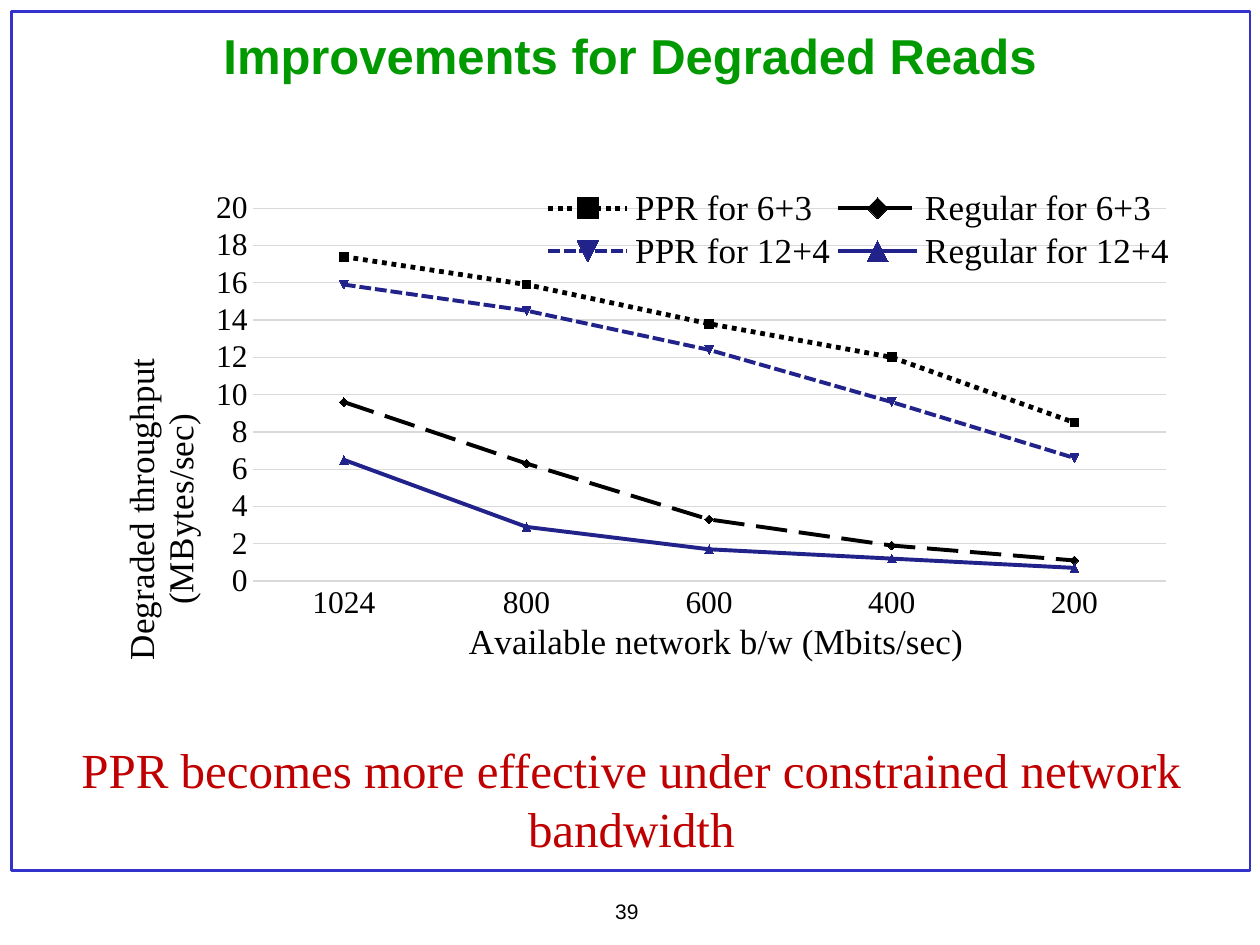
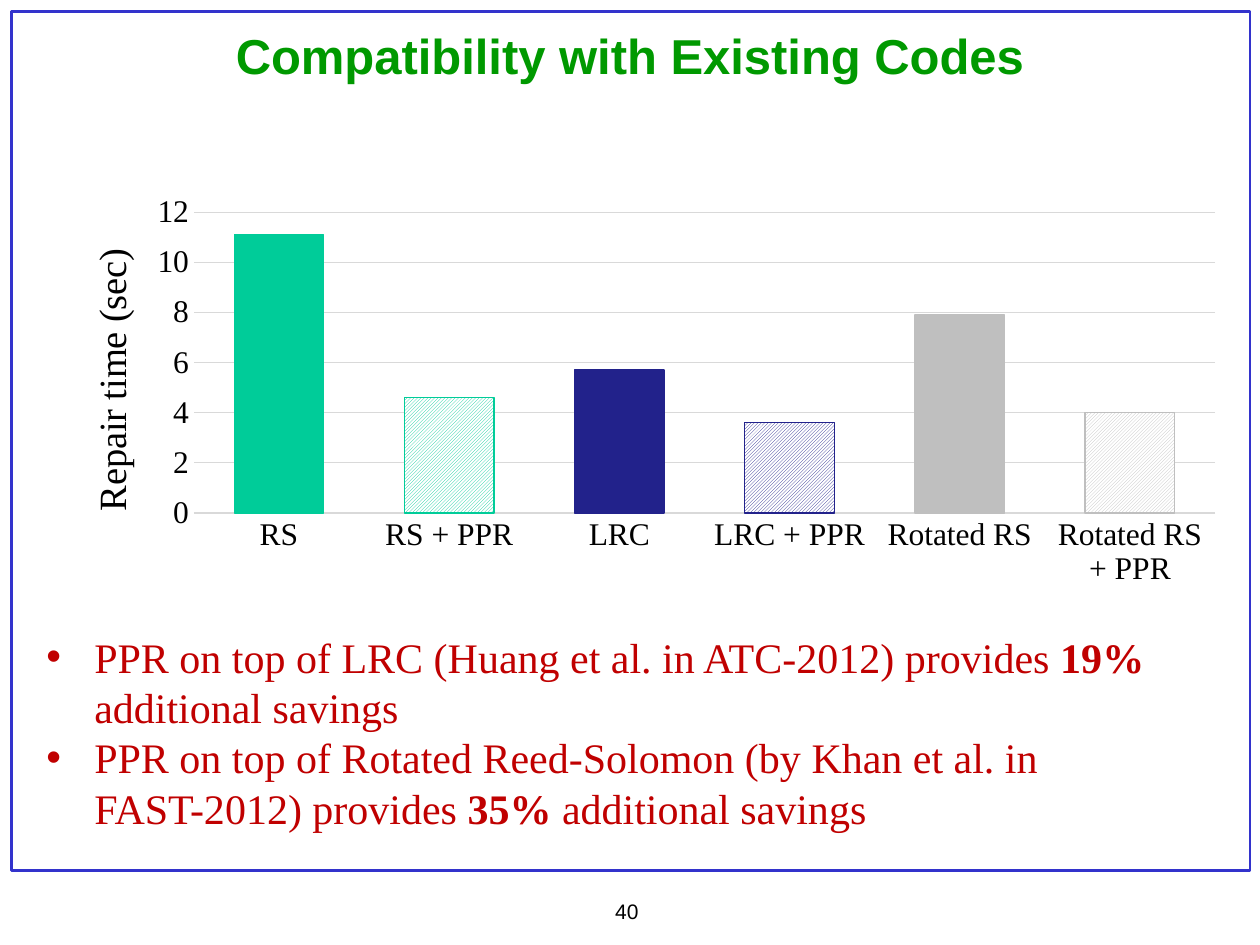
"""Build two slides on repair throughput and code compatibility."""
from lxml import etree
from pptx import Presentation
from pptx.chart.data import CategoryChartData
from pptx.dml.color import RGBColor
from pptx.enum.chart import XL_CHART_TYPE, XL_LEGEND_POSITION, XL_TICK_MARK
from pptx.enum.dml import MSO_LINE, MSO_PATTERN
from pptx.enum.shapes import MSO_SHAPE
from pptx.enum.text import PP_ALIGN
from pptx.oxml.ns import qn
from pptx.util import Inches, Pt

LINE, BARS = XL_CHART_TYPE.LINE, XL_CHART_TYPE.COLUMN_CLUSTERED
BOTTOM, NO_TICK = XL_LEGEND_POSITION.BOTTOM, XL_TICK_MARK.NONE
DOT, LONG, DASH = MSO_LINE.ROUND_DOT, MSO_LINE.LONG_DASH, MSO_LINE.SQUARE_DOT
DOT, DASH = MSO_LINE.ROUND_DOT, MSO_LINE.SQUARE_DOT
HATCH = MSO_PATTERN.DARK_UPWARD_DIAGONAL
CENTER, LEFT = PP_ALIGN.CENTER, PP_ALIGN.LEFT
SANS, SERIF = "Arial", "Times New Roman"
BLACK, WHITE, GRID = "000000", "FFFFFF", "D9D9D9"
GREEN, RED, FRAME = "009900", "C00000", "3333CC"
TEAL, NAVY, GRAY = "00CC99", "22228B", "BFBFBF"

SPEEDS = ["1024", "800", "600", "400", "200"]
READS = [
    ("PPR for 6+3", [17.4, 15.9, 13.8, 12, 8.5], BLACK, 2.75, DOT),
    ("Regular for 6+3", [9.6, 6.3, 3.3, 1.9, 1.1], BLACK, 2.25, LONG),
    ("PPR for 12+4", [15.9, 14.5, 12.4, 9.6, 6.6], NAVY, 2.25, DASH),
    ("Regular for 12+4", [6.5, 2.9, 1.7, 1.2, 0.7], NAVY, 2.25, None),
]
CODES = [
    ("RS", 11.1, TEAL), ("RS + PPR", 4.6, TEAL),
    ("LRC", 5.7, NAVY), ("LRC + PPR", 3.6, NAVY),
    ("Rotated RS", 7.9, GRAY), ("Rotated RS + PPR", 4, GRAY),
]
CLAIM = "PPR becomes more effective under constrained network bandwidth"
SAVINGS = [
    ("PPR on top of LRC (Huang et al. in ATC-2012) provides ", "19%",
     " additional savings"),
    ("PPR on top of Rotated Reed-Solomon (by Khan et al. in FAST-2012) "
     "provides ", "35%", " additional savings"),
]


def rgb(code):
    return RGBColor.from_string(code)


def style(font, size, color=BLACK, name=SERIF, bold=False):
    font.size, font.name, font.bold = Pt(size), name, bold
    font.color.rgb = rgb(color)


def stroke(line, color, width):
    line.color.rgb = rgb(color)
    line.width = Pt(width)


def add_text(slide, box, paras, size, color, name=SERIF, bold=False,
             align=CENTER, bullet=False):
    frame = slide.shapes.add_textbox(*map(Inches, box)).text_frame
    frame.word_wrap = True
    for i, parts in enumerate(paras):
        para = frame.add_paragraph() if i else frame.paragraphs[0]
        if bullet:
            props = para._p.get_or_add_pPr()
            props.set("marL", str(Inches(0.38)))
            props.set("indent", str(Inches(-0.38)))
            etree.SubElement(props, qn("a:buFont")).set("typeface", SANS)
            etree.SubElement(props, qn("a:buChar")).set("char", "•")
        para.alignment = align
        style(para.font, size, color, name, bold)
        for j, part in enumerate(parts):
            run = para.add_run()
            run.text = part
            if j % 2:
                run.font.bold = True


def add_page(deck, title, number):
    slide = deck.slides.add_slide(deck.slide_layouts[6])
    edge = slide.shapes.add_shape(
        MSO_SHAPE.RECTANGLE, *map(Inches, (0.09, 0.09, 9.83, 6.82)))
    edge.shadow.inherit = False
    edge.fill.background()
    stroke(edge.line, FRAME, 1.5)
    add_text(slide, (4.38, 7.08, 1.19, 0.3), [[str(number)]], 12, BLACK, SANS)
    add_text(slide, (0, 0.15, 10, 0.57), [[title]], 28, GREEN, SANS, True)
    return slide


def place(node, index, inner=False, **spots):
    for old in node.findall(qn("c:layout")):
        node.remove(old)
    layout = etree.Element(qn("c:layout"))
    node.insert(index, layout)
    manual = etree.SubElement(layout, qn("c:manualLayout"))
    pairs = [("layoutTarget", "inner")] if inner else []
    pairs += [("xMode", "edge"), ("yMode", "edge"), *spots.items()]
    for tag, value in pairs:
        etree.SubElement(manual, qn("c:" + tag)).set("val", str(value))


def add_title(axis, text, size, x, y):
    frame = axis.axis_title.text_frame
    frame.text = text
    style(frame.paragraphs[0].font, size)
    place(axis.axis_title._element, 1, x=x, y=y)


def add_chart(slide, kind, box, cats, series, top, plot):
    data = CategoryChartData()
    data.categories = cats
    for name, values in series:
        data.add_series(name, values)
    chart = slide.shapes.add_chart(kind, *map(Inches, box), data).chart
    style(chart.font, 10)
    chart.has_title = chart.has_legend = False
    chart.plots[0].vary_by_categories = False
    rows, cols = chart.value_axis, chart.category_axis
    for axis in (rows, cols):
        axis.major_tick_mark = axis.minor_tick_mark = NO_TICK
        style(axis.tick_labels.font, 18)
    rows.minimum_scale, rows.maximum_scale, rows.major_unit = 0, top, 2
    rows.format.line.fill.background()
    rows.has_major_gridlines = True
    for line in (rows.major_gridlines.format.line, cols.format.line):
        stroke(line, GRID, 0.75)
    area = chart._chartSpace.chart.plotArea
    place(area, 0, True, **dict(zip("xywh", plot)))
    return chart


def add_reads(deck):
    slide = add_page(deck, "Improvements for Degraded Reads", 39)
    add_text(slide, (0.22, 5.82, 9.58, 1.04), [[CLAIM]], 28, RED)
    chart = add_chart(slide, LINE, (0.57, 1.42, 8.86, 4.75), SPEEDS,
                      [row[:2] for row in READS], 20,
                      (0.162, 0.049, 0.818, 0.623))
    for item, (_, _, color, width, dash) in zip(chart.plots[0].series, READS):
        item.smooth = False
        item.marker.style = None
        stroke(item.format.line, color, width)
        if dash:
            item.format.line.dash_style = dash
    add_title(chart.category_axis, "Available network b/w (Mbits/sec)",
              20, 0.35, 0.725)
    add_title(chart.value_axis, "Degraded throughput (MBytes/sec)",
              20, 0.036, 0.17)
    chart.has_legend = True
    chart.legend.position = BOTTOM
    chart.legend.include_in_layout = False
    style(chart.legend.font, 20)
    place(chart.legend._element, 1, x=0.42, y=0.01, w=0.57, h=0.15)


def add_codes(deck):
    slide = add_page(deck, "Compatibility with Existing Codes", 40)
    add_text(slide, (0.27, 4.96, 9.46, 1.72), SAVINGS, 24, RED,
             align=LEFT, bullet=True)
    names, times, colors = zip(*CODES)
    chart = add_chart(slide, BARS, (0.16, 1.48, 9.58, 3.59), names,
                      [("Series 1", times)], 12,
                      (0.144, 0.057, 0.846, 0.665))
    bars = chart.plots[0]
    bars.gap_width, bars.overlap = 90, 100
    for i, color in enumerate(colors):
        look = bars.series[0].points[i].format
        if i % 2:
            look.fill.patterned()
            look.fill.pattern = HATCH
            look.fill.fore_color.rgb = rgb(color)
            look.fill.back_color.rgb = rgb(WHITE)
        else:
            look.fill.solid()
            look.fill.fore_color.rgb = rgb(color)
        stroke(look.line, color, 0.75)
    add_title(chart.value_axis, "Repair time (sec)", 22, 0.05, 0.123)


def main():
    deck = Presentation()
    deck.slide_width, deck.slide_height = Inches(10), Inches(7.5)
    add_reads(deck)
    add_codes(deck)
    deck.save("out.pptx")


if __name__ == "__main__":
    main()
